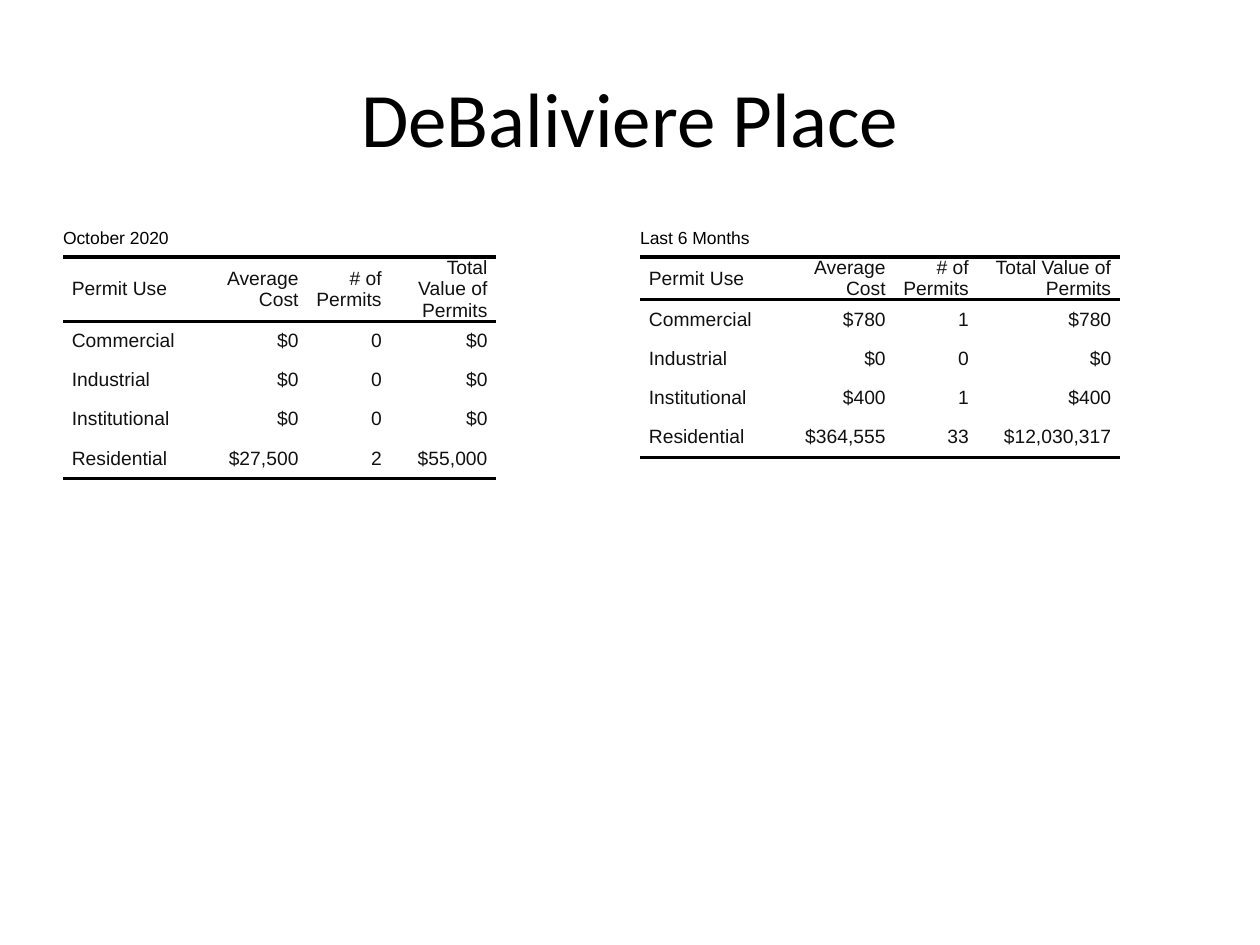
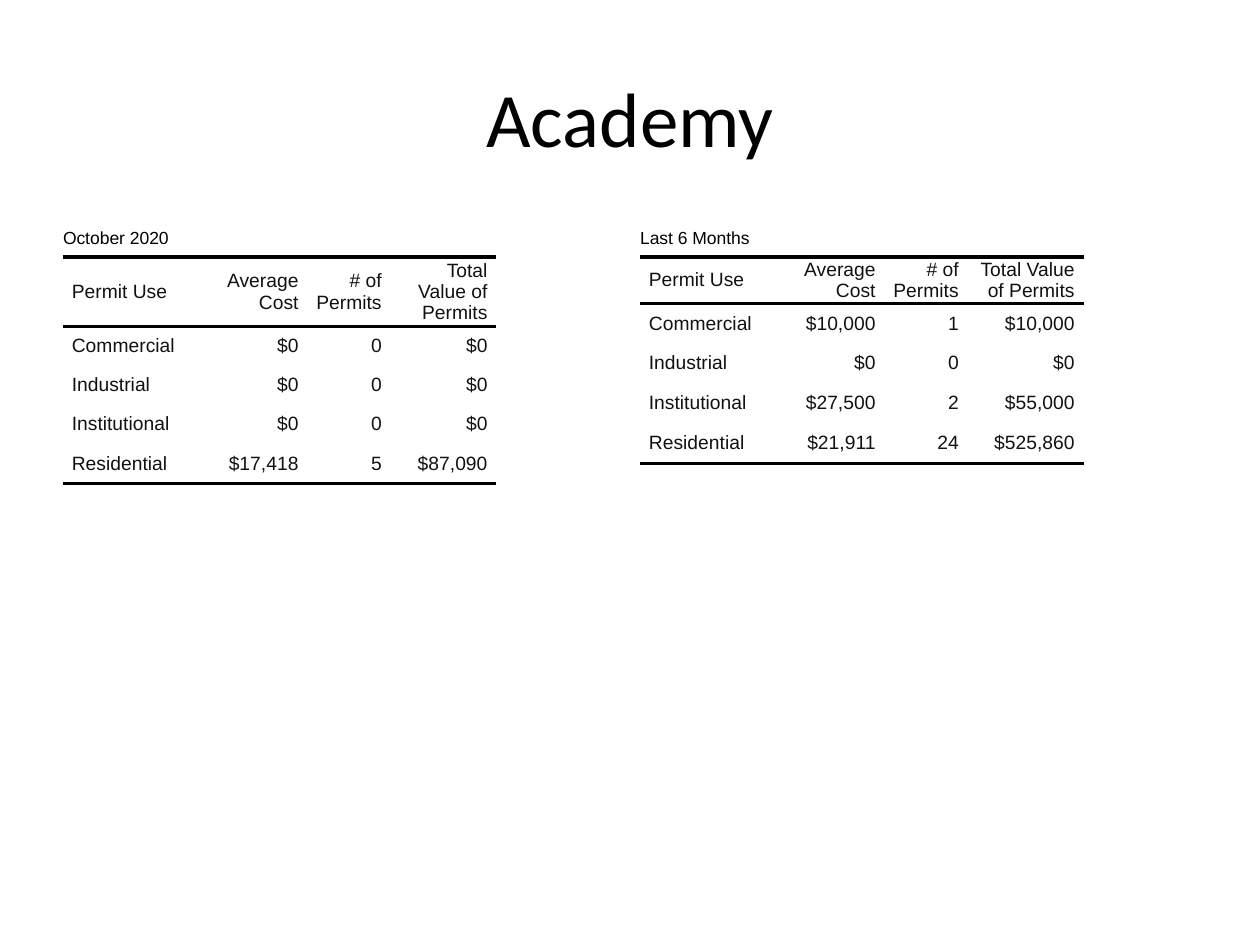
"""Build two neighbourhood slides that compare building permits by use."""
import dataclasses

import lxml.etree
import pptx
import pptx.dml.color
import pptx.enum.text
import pptx.oxml.ns
import pptx.util

Inches = pptx.util.Inches
Pt = pptx.util.Pt
PP_ALIGN = pptx.enum.text.PP_ALIGN
qn = pptx.oxml.ns.qn


@dataclasses.dataclass(frozen=True)
class Theme:
    black: str = "000000"
    body_color: str = "111111"
    title_font: str = "Calibri"
    table_font: str = "Arial"
    title_size: int = 44
    caption_size: int = 10
    body_size: int = 11
    rule_width: int = 2
    no_grid_style: str = "{2D5ABB26-0587-4C30-8999-92F81FD0307C}"


THEME = Theme()
HEADINGS = ("Permit Use", "Average Cost", "# of Permits", "Total Value of Permits")
USES = ("Commercial", "Industrial", "Institutional", "Residential")
USE_WIDTH, COUNT_WIDTH = 1.1, 0.66
HEADER_HEIGHT = 0.29
ROW_HEIGHTS = (0.31, 0.31, 0.31, 0.32)
TABLE_TOP, TABLE_WIDTH, TABLE_HEIGHT = 1.75, 4.42, 4.95
CELL_INDENT = 0.07
NONE_ISSUED = ("$0", "0", "$0")

NEIGHBORHOODS = {
    "DeBaliviere Place": (
        ("October 2020", 0.5, 0.84, 0.84, ROW_HEIGHTS,
         (NONE_ISSUED, NONE_ISSUED, NONE_ISSUED, ("$27,500", "2", "$55,000"))),
        ("Last 6 Months", 5.08, 0.92, 1.13, ROW_HEIGHTS,
         (("$780", "1", "$780"), NONE_ISSUED, ("$400", "1", "$400"),
          ("$364,555", "33", "$12,030,317"))),
    ),
    "Academy": (
        ("October 2020", 0.5, 0.84, 0.84, ROW_HEIGHTS,
         (NONE_ISSUED, NONE_ISSUED, NONE_ISSUED, ("$17,418", "5", "$87,090"))),
        ("Last 6 Months", 5.08, 0.84, 0.92, (0.32, 0.31, 0.32, 0.32),
         (("$10,000", "1", "$10,000"), NONE_ISSUED, ("$27,500", "2", "$55,000"),
          ("$21,911", "24", "$525,860"))),
    ),
}


def write(frame, text, font, size, color, align):
    """Put one formatted paragraph in a text frame and return it."""
    frame.text = text
    para = frame.paragraphs[0]
    para.alignment = align
    for span in para.runs:
        span.font.name = font
        span.font.size = Pt(size)
        span.font.color.rgb = pptx.dml.color.RGBColor.from_string(color)
    return para


def rule_cell(cell, sides):
    """Draw solid rules on the named sides of a cell, top before bottom."""
    properties = cell._tc.get_or_add_tcPr()
    for position, side in enumerate(sides):
        line = lxml.etree.Element(qn(f"a:ln{side}"), w=str(Pt(THEME.rule_width)))
        fill = lxml.etree.SubElement(line, qn("a:solidFill"))
        lxml.etree.SubElement(fill, qn("a:srgbClr"), val=THEME.black)
        properties.insert(position, line)


deck = pptx.Presentation()
deck.slide_width = Inches(10)
deck.slide_height = Inches(7.5)

for neighborhood, periods in NEIGHBORHOODS.items():
    page = deck.slides.add_slide(deck.slide_layouts[6])

    for period, left, cost_width, value_width, row_heights, figures in periods:
        records = [HEADINGS] + [(use, *values) for use, values in zip(USES, figures)]
        last_row = len(records)
        holder = page.shapes.add_table(
            last_row + 1, len(HEADINGS), Inches(left), Inches(TABLE_TOP),
            Inches(TABLE_WIDTH), Inches(TABLE_HEIGHT))
        table = holder.table
        table.first_row = False
        table.horz_banding = False
        for style in holder.element.iter(qn("a:tableStyleId")):
            style.text = THEME.no_grid_style

        widths = (USE_WIDTH, cost_width, COUNT_WIDTH, value_width)
        for column, width in zip(table.columns, widths):
            column.width = Inches(width)
        for row, height in zip(table.rows, (HEADER_HEIGHT, HEADER_HEIGHT, *row_heights)):
            row.height = Inches(height)
        holder.width = Inches(TABLE_WIDTH)
        holder.height = Inches(TABLE_HEIGHT)

        for cell in table.iter_cells():
            cell.margin_left = cell.margin_right = 0
            cell.margin_top = cell.margin_bottom = 0
            cell.vertical_anchor = pptx.enum.text.MSO_ANCHOR.MIDDLE
            cell.fill.background()

        caption = table.cell(0, 0)
        caption.merge(table.cell(0, len(HEADINGS) - 1))
        write(caption.text_frame, period, THEME.table_font, THEME.caption_size,
              THEME.black, PP_ALIGN.LEFT)

        for row_number, record in enumerate(records, start=1):
            for column_number, text in enumerate(record):
                cell = table.cell(row_number, column_number)
                align = PP_ALIGN.RIGHT if column_number else PP_ALIGN.LEFT
                para = write(cell.text_frame, text, THEME.table_font,
                             THEME.body_size, THEME.body_color, align)
                para.space_after = Pt(2)
                for margin in ("marL", "marR"):
                    para._p.get_or_add_pPr().set(margin, str(Inches(CELL_INDENT)))
                if row_number == 1:
                    rule_cell(cell, "TB")
                elif row_number == last_row:
                    rule_cell(cell, "B")

    title = page.shapes.add_textbox(Inches(0.5), Inches(0.3), Inches(9), Inches(1.25))
    title.text_frame.word_wrap = True
    title.text_frame.vertical_anchor = pptx.enum.text.MSO_ANCHOR.MIDDLE
    write(title.text_frame, neighborhood, THEME.title_font, THEME.title_size,
          THEME.black, PP_ALIGN.CENTER)

deck.save("out.pptx")
